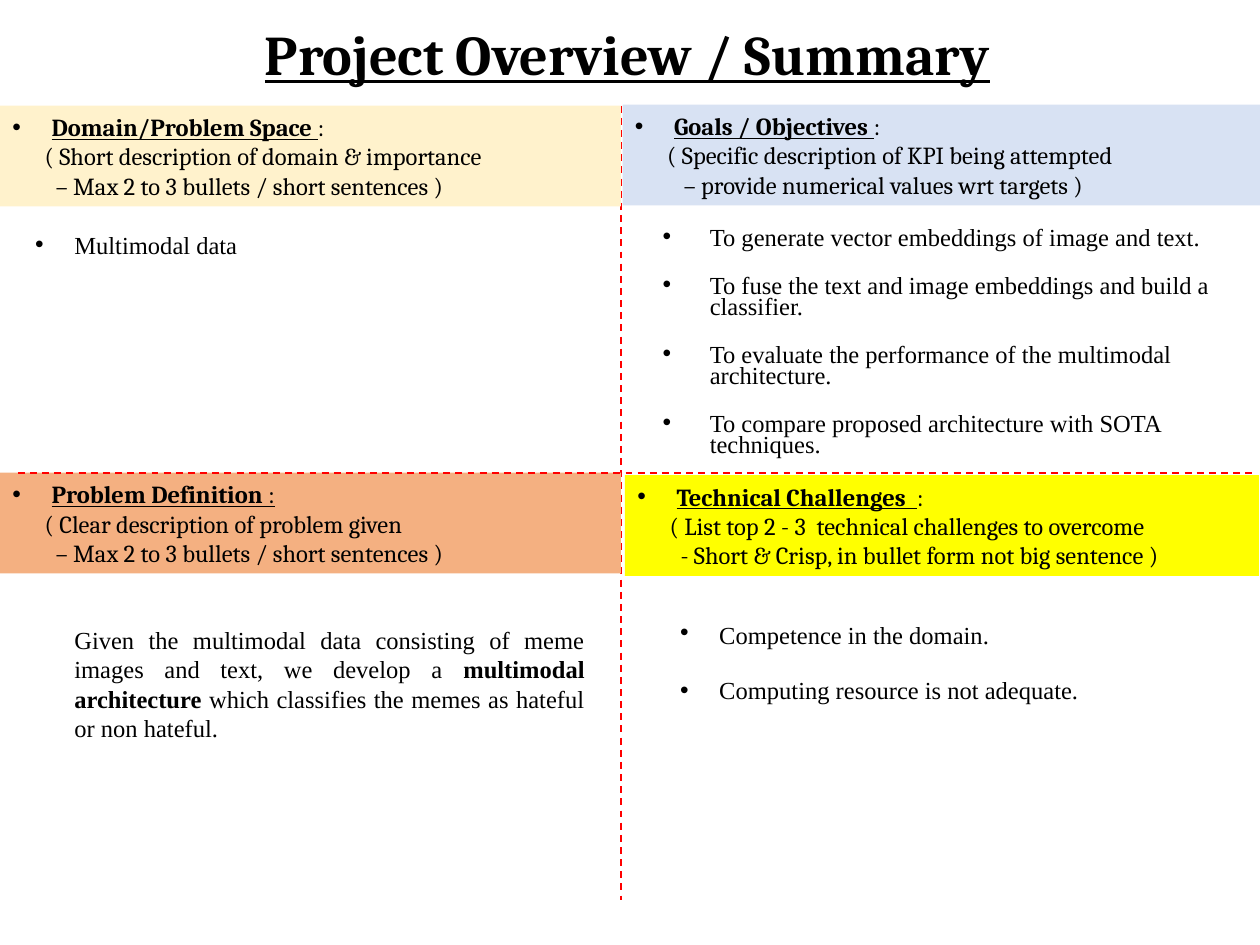
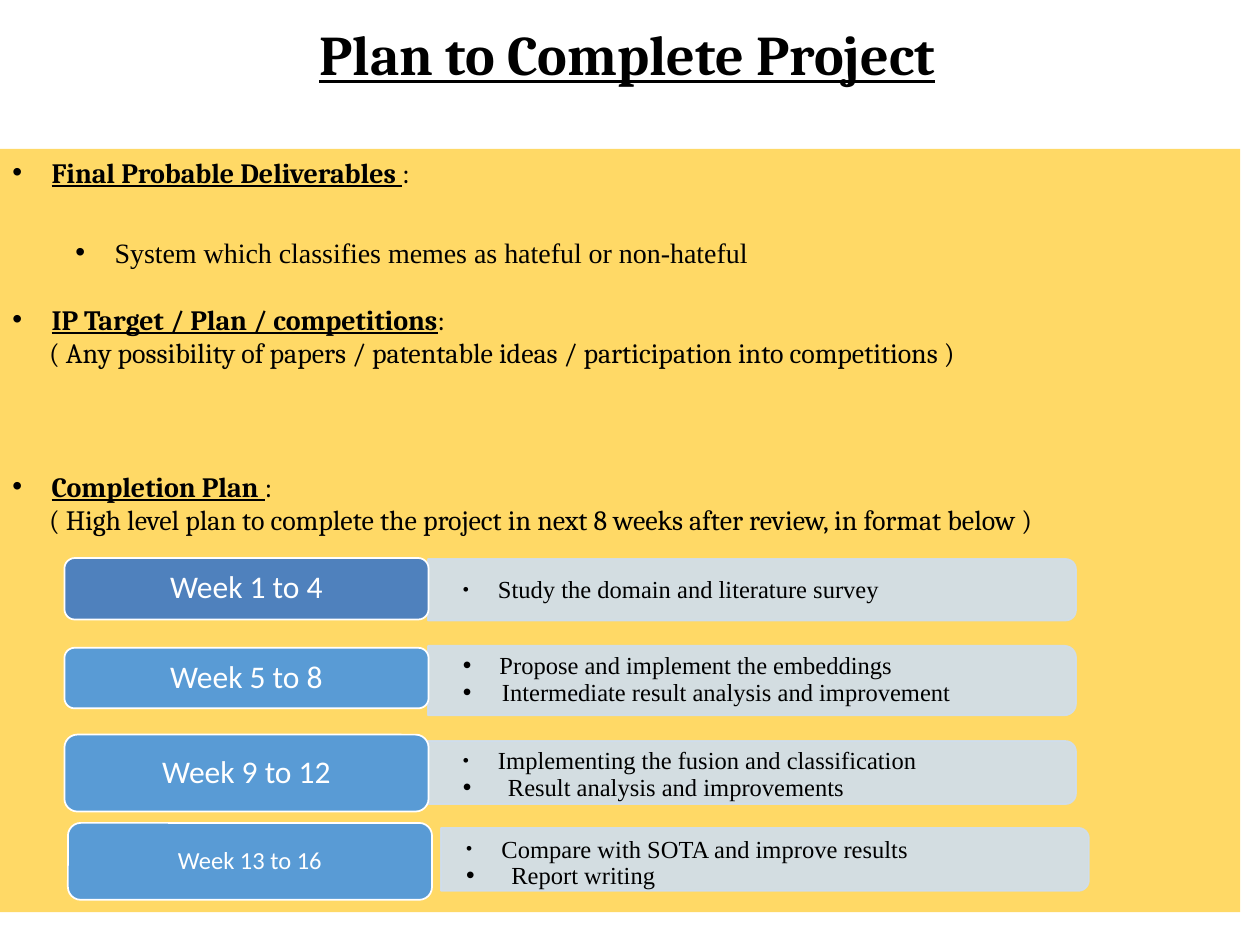
from dataclasses import dataclass

from lxml.etree import SubElement
from pptx import Presentation
from pptx.dml.color import RGBColor
from pptx.enum.dml import MSO_LINE
from pptx.enum.shapes import MSO_CONNECTOR, MSO_SHAPE as SHAPE
from pptx.enum.text import MSO_ANCHOR as ANCHOR, PP_ALIGN as ALIGN
from pptx.oxml.ns import qn
from pptx.util import Cm, Pt

COLOURS = {
    "text": "000000", "white": "FFFFFF", "divider": "FF0000",
    "domain": "FFF2CC", "problem": "F4B081", "goals": "D8E2F3",
    "challenges": "FFFF00", "plan": "FFD966",
    "first_week": "4F81BD", "week": "599BD5", "tasks": "CFDEEF",
}
SERIF, BODY, SANS = "Cambria", "Times New Roman", "Calibri"
HANG = 0.79
LABEL_WIDTH, TASK_WIDTH = 7.34, 13.06


@dataclass
class Line:
    runs: tuple
    size: float = 14
    font: str = BODY
    colour: str = "text"
    align: object = ALIGN.LEFT
    margin: float = 0
    bullet: bool = False
    hang: float = HANG
    bullet_percent: int = 100
    spacing: float = 1
    before: float = 0
    after: float = 0
    bold: bool = False
    underline: bool = False


def rgb(name):
    return RGBColor.from_string(COLOURS[name])


def add_bullet(paragraph, line):
    properties = paragraph._p.get_or_add_pPr()
    colour = SubElement(properties, qn("a:buClr"))
    SubElement(colour, qn("a:srgbClr"), val=COLOURS["text"])
    SubElement(properties, qn("a:buSzPct"), val=str(line.bullet_percent * 1000))
    SubElement(properties, qn("a:buFont"), typeface="Arial")
    SubElement(properties, qn("a:buChar"), char="•")


def write(shape, lines, anchor=ANCHOR.TOP, insets=(0.25, 0.13)):
    frame = shape.text_frame
    frame.word_wrap = True
    frame.vertical_anchor = anchor
    frame.margin_left = frame.margin_right = Cm(insets[0])
    frame.margin_top = frame.margin_bottom = Cm(insets[1])
    for index, line in enumerate(lines):
        paragraph = frame.add_paragraph() if index else frame.paragraphs[0]
        properties = paragraph._p.get_or_add_pPr()
        properties.set("marL", str(Cm(line.margin)))
        properties.set("indent", str(Cm(-line.hang if line.bullet else 0)))
        if line.bullet:
            add_bullet(paragraph, line)
        paragraph.alignment = line.align
        paragraph.line_spacing = line.spacing
        paragraph.space_before = Pt(line.before)
        paragraph.space_after = Pt(line.after)
        font = paragraph.font
        font.name, font.size = line.font, Pt(line.size)
        font.bold, font.underline = line.bold, line.underline
        font.color.rgb = rgb(line.colour)
        for text, *marks in line.runs:
            run = paragraph.add_run()
            run.text = text
            if "bold" in marks:
                run.font.bold = True
            if "underline" in marks:
                run.font.underline = True


def add_block(slide, kind, box, fill, outline=None):
    shape = slide.shapes.add_shape(kind, *map(Cm, box))
    shape.shadow.inherit = False
    shape.fill.solid()
    shape.fill.fore_color.rgb = rgb(fill)
    if outline:
        shape.line.color.rgb = rgb(outline)
        shape.line.width = Pt(1)
    else:
        shape.line.fill.background()
    return shape


def add_text(slide, box, lines, **options):
    write(slide.shapes.add_textbox(*map(Cm, box)), lines, **options)


def add_title(slide, text):
    title = Line(((text,),), 32, SERIF, align=ALIGN.CENTER, spacing=0.9,
                 bold=True, underline=True)
    add_text(slide, (-0.1, -0.08, 25.5, 1.98), [title], anchor=ANCHOR.BOTTOM)


def add_divider(slide, *ends):
    divider = slide.shapes.add_connector(MSO_CONNECTOR.STRAIGHT, *map(Cm, ends))
    divider.line.color.rgb = rgb("divider")
    divider.line.width = Pt(1)
    divider.line.dash_style = MSO_LINE.DASH
    SubElement(divider._element.spPr, qn("a:effectLst"))


def heading(text, size, before=0, colon=(": ",)):
    return Line(((text, "bold", "underline"), colon), size, SERIF,
                align=ALIGN.JUSTIFY, margin=HANG, bullet=True, before=before)


def hint(text, size, margin):
    return Line(((text,),), size, SERIF, align=ALIGN.JUSTIFY, margin=margin)


def add_band(slide, left, top, width, fill, title, hints, second_margin=0.87,
             colon=(": ",)):
    band = add_block(slide, SHAPE.RECTANGLE, (left, top, width, 2.03), fill)
    margins = (0.65, second_margin)
    write(band, [heading(title, 14, colon=colon)]
          + [hint(text, 14, margin) for text, margin in zip(hints, margins)])


def bullet(text, **options):
    return Line(((text,),), bullet=True, **{"margin": HANG, **options})


def build_overview(slide):
    add_title(slide, "Project Overview / Summary")
    add_divider(slide, 12.52, 2.13, 12.52, 18.14)
    sentences = "– Max 2 to 3 bullets / short sentences )"
    add_band(slide, 0, 2.13, 12.52, "domain", "Domain/Problem Space ",
             ("( Short description of domain & importance", sentences))
    add_band(slide, 0, 9.53, 12.52, "problem", "Problem Definition ",
             ("( Clear description of problem given", sentences),
             colon=(":", "underline"))
    add_band(slide, 12.55, 2.11, 12.85, "goals", "Goals / Objectives ",
             ("( Specific description of KPI being attempted",
              "– provide numerical values wrt targets )"), second_margin=0.98)
    add_band(slide, 12.6, 9.58, 12.78, "challenges", "Technical Challenges  ",
             ("( List top 2 - 3  technical challenges to overcome",
              "- Short & Crisp, in bullet form not big sentence )"))
    add_divider(slide, 0.36, 9.53, 25.3, 9.53)

    add_text(slide, (0.46, 4.5, 11.58, 0.84), [bullet("Multimodal data")])
    goals = (
        "To generate vector embeddings of image and text.",
        "To fuse the text and image embeddings and build a classifier.",
        "To evaluate the performance of the multimodal architecture.",
        "To compare proposed architecture with SOTA techniques.",
    )
    add_text(slide, (13.11, 4.5, 11.73, 6.68),
             [bullet(goal, margin=0.95, hang=0.95, spacing=0.7, after=16)
              for goal in goals])
    definition = (
        ("Given the multimodal data consisting of meme images and text, "
         "we develop a ",),
        ("multimodal architecture ", "bold"),
        ("which classifies the memes as hateful or non hateful.",),
    )
    add_text(slide, (0.46, 12.47, 11.58, 2.62),
             [Line(definition, align=ALIGN.JUSTIFY, margin=HANG, after=16)])
    add_text(slide, (13.46, 12.65, 11.35, 2.82),
             [bullet("Competence in the domain.", spacing=0.45, after=16),
              bullet("Computing resource is not adequate.", after=16)])


def add_task_panel(slide, left, top, height):
    shift = (TASK_WIDTH - height) / 2
    panel = add_block(slide, SHAPE.ROUND_2_SAME_RECTANGLE,
                      (left + shift, top - shift, height, TASK_WIDTH),
                      "tasks", "tasks")
    panel.rotation = 90
    panel.adjustments[0], panel.adjustments[1] = 0.167, 0
    for colour in panel._element.spPr.iter(qn("a:srgbClr")):
        SubElement(colour, qn("a:alpha"), val="90000")


def add_week(slide, week, label_box, panel_box, tasks, fill="week", size=18):
    left, top, height = label_box
    add_task_panel(slide, *panel_box)
    label = add_block(slide, SHAPE.ROUNDED_RECTANGLE,
                      (left, top, LABEL_WIDTH, height), fill, "white")
    label.adjustments[0] = 0.167
    write(label, [Line(((week,),), size, SANS, "white", ALIGN.CENTER,
                       spacing=0.9)], ANCHOR.MIDDLE, (0.18, 0.1))
    text_height = 1.14
    text_top = top + (height - text_height) / 2 + 0.04
    add_text(slide, (left + LABEL_WIDTH, text_top, 13, text_height),
             [bullet(text, margin=margin, hang=margin, bullet_percent=percent,
                     spacing=0.9) for text, margin, percent in tasks],
             anchor=ANCHOR.MIDDLE, insets=(0.69, 0.36))


def build_plan(slide):
    add_title(slide, "Plan to Complete Project")
    panel = add_block(slide, SHAPE.RECTANGLE, (0, 3, 25, 15.39), "plan")
    write(panel, [
        heading("Final Probable Deliverables ", 16),
        bullet("System which classifies memes as hateful or non-hateful",
               size=16, align=ALIGN.JUSTIFY, margin=2.06, spacing=1.4,
               before=19),
        heading("IP Target / Plan / competitions", 16, before=19),
        hint("( Any possibility of papers / patentable ideas / "
             "participation into competitions )", 16, 0.74),
        heading("Completion Plan ", 16, before=57),
        hint("( High level plan to complete the project in next 8 weeks "
             "after review, in format below )", 16, 0.74),
    ])
    add_week(slide, "Week 1 to 4", (1.3, 11.25, 1.24), (8.63, 11.27, 1.24),
             [("Study the domain and literature survey", 0.71, 71)],
             fill="first_week")
    add_week(slide, "Week 5 to 8", (1.3, 13.06, 1.22), (8.63, 13.02, 1.4),
             [("Propose and implement the embeddings", 0.74, 100),
              ("Intermediate result analysis and improvement", 0.79, 100)])
    add_week(slide, "Week 9 to 12", (1.3, 14.81, 1.55), (8.63, 14.94, 1.27),
             [("Implementing the fusion and classification", 0.71, 71),
              ("Result analysis and improvements", 0.91, 100)])
    add_week(slide, "Week 13 to 16", (1.37, 16.59, 1.55), (8.89, 16.69, 1.27),
             [("Compare with SOTA and improve results", 0.71, 71),
              ("Report writing", 0.91, 100)], size=14)


def main():
    presentation = Presentation()
    presentation.slide_width, presentation.slide_height = Cm(25.4), Cm(19.05)
    blank = presentation.slide_layouts[6]
    for build in (build_overview, build_plan):
        build(presentation.slides.add_slide(blank))
    presentation.save("out.pptx")


if __name__ == "__main__":
    main()
